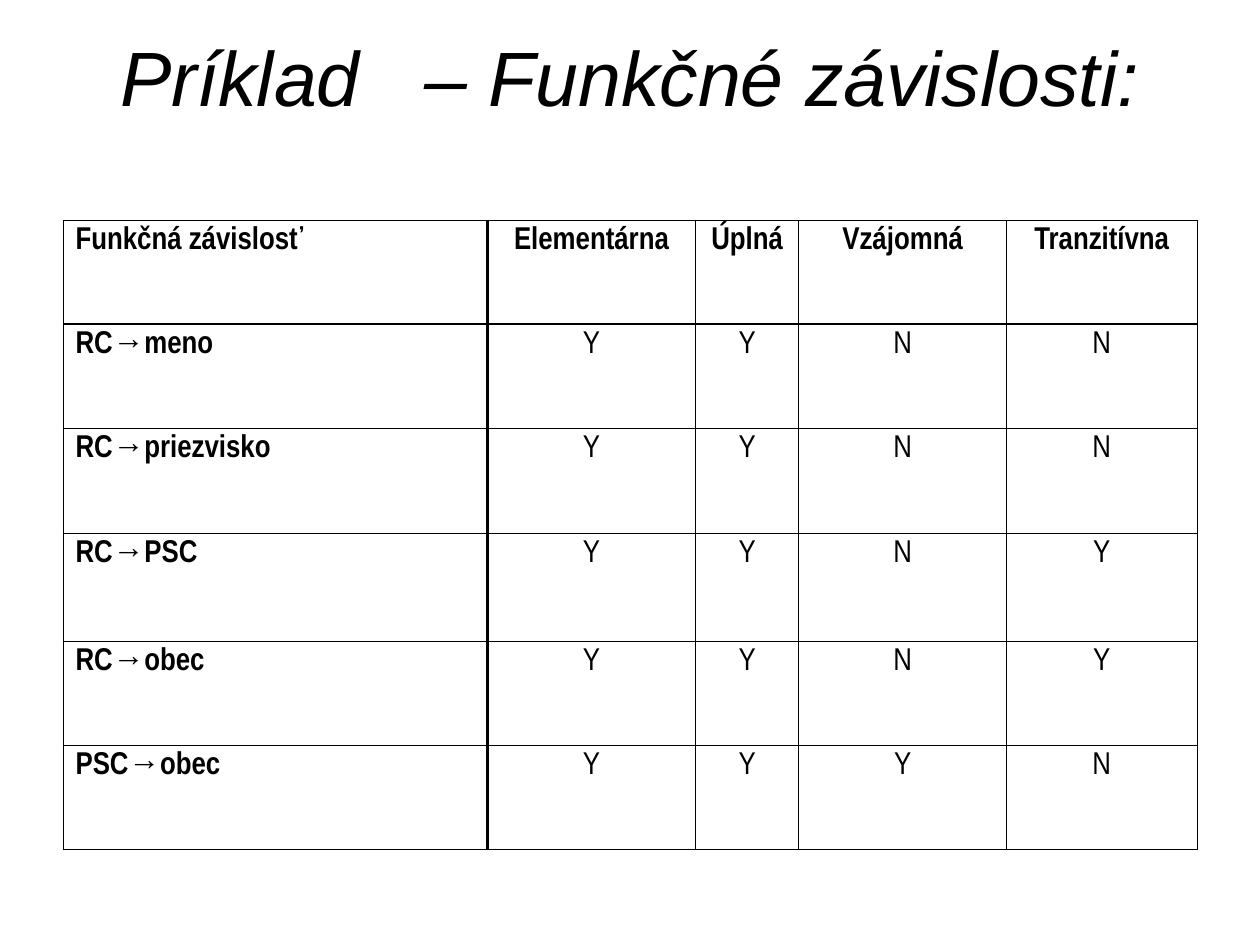
from dataclasses import dataclass

import lxml.etree
import pptx
import pptx.dml.color
import pptx.enum.text
import pptx.oxml.ns
import pptx.util

Inches = pptx.util.Inches
Align = pptx.enum.text.PP_ALIGN
Anchor = pptx.enum.text.MSO_ANCHOR


@dataclass(frozen=True)
class Theme:
    ink: str = "000000"
    paper: str = "FFFFFF"
    title_font: str = "Arial"
    table_font: str = "Arial Narrow"
    title_size: float = 44
    table_size: float = 18
    thin_line: float = 0.45
    thick_line: float = 1.47


THEME = Theme()
TITLE_PARTS = ("Príklad", " ", "– Funkčné závislosti:")
TITLE_GAP = 24.5  # extra points between the two halves of the title
HEADINGS = ("Funkčná závislosť", "Elementárna", "Úplná", "Vzájomná", "Tranzitívna")
DEPENDENCIES = (
    ("RC→meno", "YYNN"),
    ("RC→priezvisko", "YYNN"),
    ("RC→PSC", "YYNY"),
    ("RC→obec", "YYNY"),
    ("PSC→obec", "YYYN"),
)
COLUMN_WIDTHS = (3.37, 1.65, 0.82, 1.65, 1.51)
ROW_HEIGHTS = (0.82, 0.82, 0.83, 0.86, 0.82, 0.82)


def write_text(paragraph, text, *, font, size, bold=False, italic=False, align=Align.LEFT):
    paragraph.alignment = align
    run = paragraph.add_run()
    run.text = text
    run.font.name = font
    run.font.size = pptx.util.Pt(size)
    run.font.bold = bold
    run.font.italic = italic
    run.font.color.rgb = pptx.dml.color.RGBColor.from_string(THEME.ink)
    return run


def place_title(slide, left, top, width, height):
    title = slide.shapes.title
    title.left, title.top, title.width, title.height = left, top, width, height
    frame = title.text_frame
    frame.word_wrap = True
    frame.auto_size = pptx.enum.text.MSO_AUTO_SIZE.NONE
    frame.vertical_anchor = Anchor.MIDDLE
    frame.margin_left = frame.margin_right = Inches(0.1)
    frame.margin_top = Inches(0.05)
    frame.margin_bottom = Inches(0.7)
    for part in TITLE_PARTS:
        run = write_text(frame.paragraphs[0], part, font=THEME.title_font,
                         size=THEME.title_size, italic=True, align=Align.CENTER)
        if part == " ":
            run.font._element.set("spc", str(int(TITLE_GAP * 100)))


def set_borders(cell, widths):
    """Draw the left, right, top and bottom borders, with widths in points."""
    properties = cell._tc.get_or_add_tcPr()
    name = pptx.oxml.ns.qn
    for position, (side, width) in enumerate(zip("LRTB", widths)):
        line = lxml.etree.Element(name(f"a:ln{side}"), w=str(pptx.util.Pt(width)))
        fill = lxml.etree.SubElement(line, name("a:solidFill"))
        lxml.etree.SubElement(fill, name("a:srgbClr"), val=THEME.ink)
        properties.insert(position, line)


def fill_cell(cell, text, row, column):
    cell.fill.background()
    cell.vertical_anchor = Anchor.TOP
    cell.margin_left = cell.margin_right = Inches(0.1)
    cell.margin_top = cell.margin_bottom = Inches(0.05)
    paragraph = cell.text_frame.paragraphs[0]
    properties = paragraph._p.get_or_add_pPr()
    properties.set("marL", str(Inches(0.38)))
    properties.set("indent", str(Inches(-0.38)))
    write_text(paragraph, text, font=THEME.table_font, size=THEME.table_size,
               bold=row == 0 or column == 0,
               align=Align.LEFT if column == 0 else Align.CENTER)
    thick_sides = (column == 1, column == 0, row == 1, row == 0)
    set_borders(cell, [THEME.thick_line if thick else THEME.thin_line
                       for thick in thick_sides])


def place_dependency_table(slide, left, top, width, height):
    rows = [HEADINGS] + [(name, *answers) for name, answers in DEPENDENCIES]
    table = slide.shapes.add_table(len(rows), len(HEADINGS), left, top, width, height).table
    table.first_row = table.horz_banding = False
    for column, share in zip(table.columns, COLUMN_WIDTHS):
        column.width = int(width * share / sum(COLUMN_WIDTHS))
    for row, share in zip(table.rows, ROW_HEIGHTS):
        row.height = int(height * share / sum(ROW_HEIGHTS))
    for row, texts in enumerate(rows):
        for column, text in enumerate(texts):
            fill_cell(table.cell(row, column), text, row, column)


def main():
    presentation = pptx.Presentation()
    presentation.slide_width = Inches(10)
    presentation.slide_height = Inches(7.5)
    slide = presentation.slides.add_slide(presentation.slide_layouts.get_by_name("Title Only"))
    slide.background.fill.solid()
    slide.background.fill.fore_color.rgb = pptx.dml.color.RGBColor.from_string(THEME.paper)
    place_title(slide, Inches(0.5), Inches(0.3), Inches(9), Inches(1.25))
    place_dependency_table(slide, Inches(0.5), Inches(1.75), Inches(9), Inches(4.99))
    presentation.save("out.pptx")


if __name__ == "__main__":
    main()
